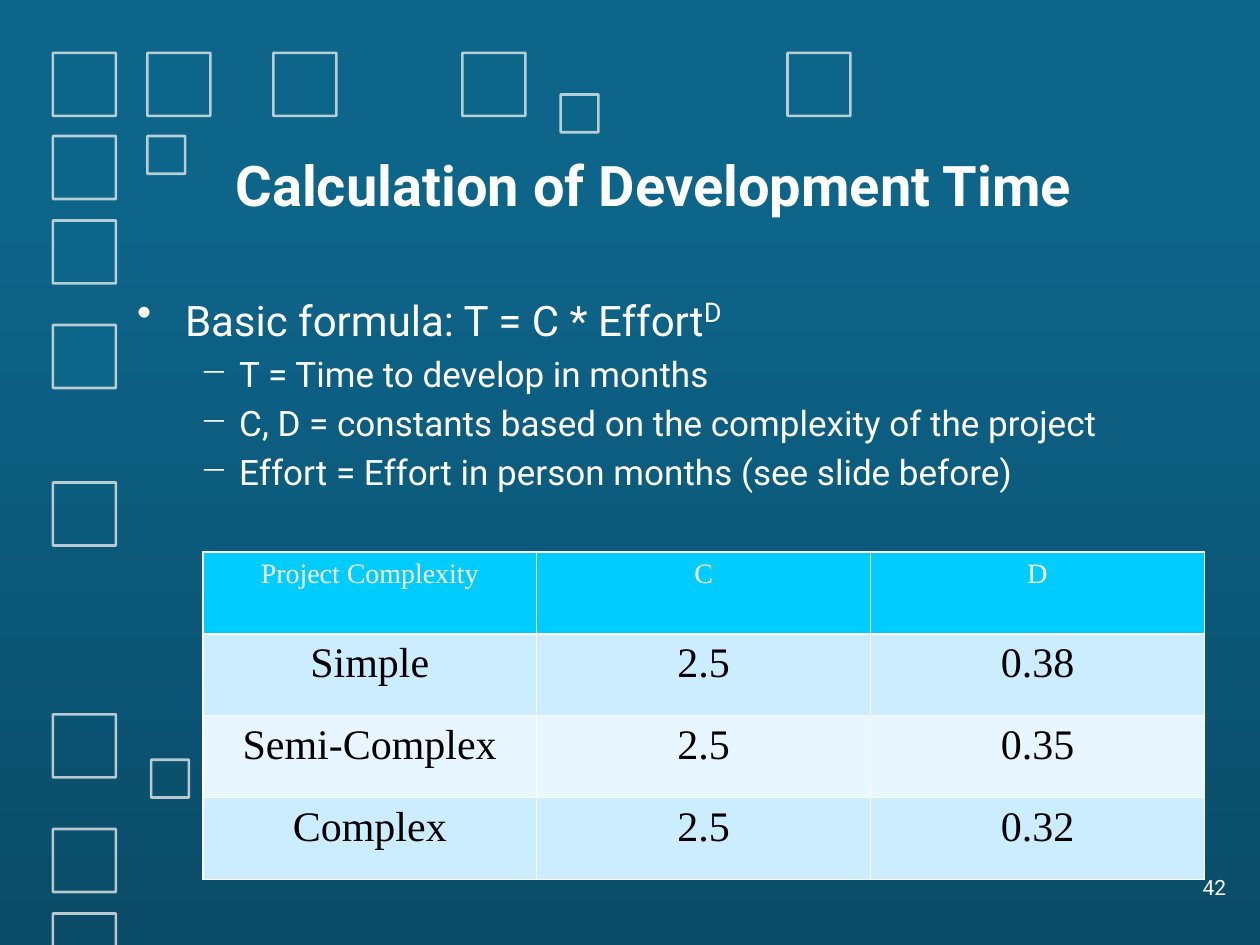
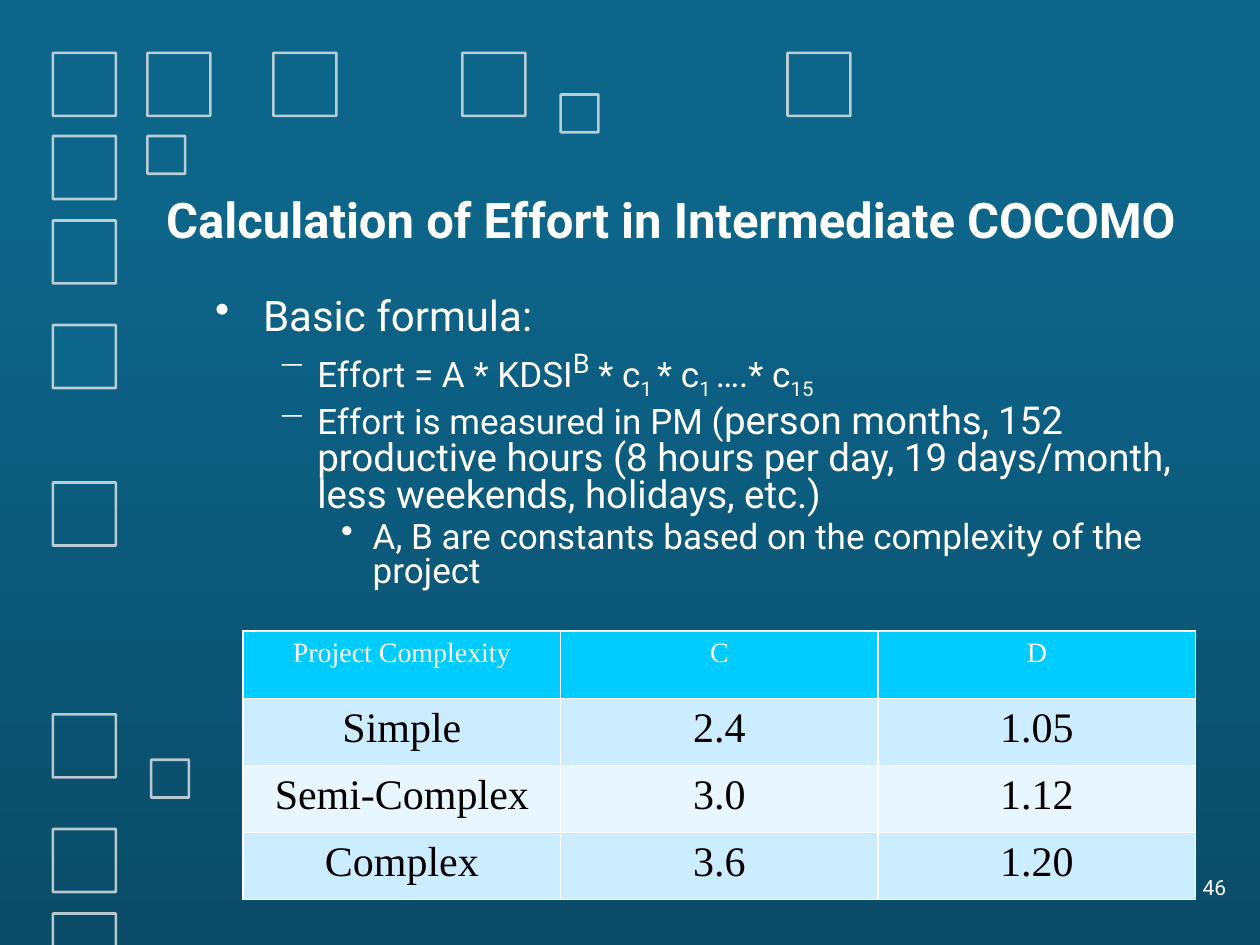
from lxml import etree
from pptx import Presentation
from pptx.dml.color import RGBColor
from pptx.enum import shapes, text
from pptx.oxml.ns import qn
from pptx.util import Inches, Pt

WHITE = RGBColor(0xFF, 0xFF, 0xFF)
BLACK = RGBColor(0, 0, 0)
TEAL = RGBColor(0x0D, 0x65, 0x8A)
DEEP_TEAL = RGBColor(0x0A, 0x4C, 0x68)
OUTLINE = RGBColor(0xF2, 0xF2, 0xF2)
CYAN = RGBColor(0x00, 0xCC, 0xFF)
ROW_BLUE = RGBColor(0xCC, 0xEC, 0xFF)
ROW_PALE = RGBColor(0xE7, 0xF6, 0xFF)

SANS = "Roboto"
SERIF = "Times New Roman"
LARGE, SMALL = 0.5, 0.3
FILLED_SQUARES = (
    [(x, 0.42, LARGE) for x in (0.42, 1.17, 2.17, 3.67, 6.25)]
    + [(0.42, y, LARGE) for y in (1.08, 1.75, 2.58)]
    + [(1.17, 1.08, SMALL), (4.45, 0.75, SMALL)]
)
OPEN_SQUARES = [(0.42, y, LARGE) for y in (3.83, 5.67, 6.58, 7.25)] + [(1.2, 6.03, SMALL)]
# Per level: left margin, hanging indent, space before in percent, bullet
LEVELS = [(0.38, 0.38, 50, "•"), (0.81, 0.31, 20, "−"), (1.25, 0.25, 20, "•")]
SUPER, SUB = 30, -25


def add_xml(parent, tag, **attrs):
    """Append an XML child with the given attributes."""
    return etree.SubElement(parent, qn(tag), {k: str(v) for k, v in attrs.items()})


class Deck:
    """Shared style and the slide being built."""

    def __init__(self):
        self.prs = Presentation()
        self.prs.slide_width, self.prs.slide_height = Inches(10), Inches(7.5)
        fill = self.prs.slide_master.background.fill
        fill.gradient()
        fill.gradient_angle = 270
        for stop, position, color in zip(fill.gradient_stops, (0.21, 1), (TEAL, DEEP_TEAL)):
            stop.position, stop.color.rgb = position, color

    def new_slide(self, number):
        """Start a slide with its squares and page number."""
        self.slide = self.prs.slides.add_slide(self.prs.slide_layouts[6])
        for square in FILLED_SQUARES:
            self.square(*square, filled=True)
        for square in OPEN_SQUARES:
            self.square(*square, filled=False)
        tf = self.textbox(7.75, 6.83, 2.08, 0.42, text.MSO_ANCHOR.MIDDLE)
        p = tf.paragraphs[0]
        p.text, p.alignment = str(number), text.PP_ALIGN.RIGHT
        self.style(p, SANS, 12)

    def style(self, p, name, size, color=WHITE, bold=False):
        """Set the font of a paragraph."""
        p.font.name, p.font.size, p.font.bold = name, Pt(size), bold
        p.font.color.rgb = color

    def square(self, x, y, side, filled):
        """Draw one decorative square."""
        sp = self.slide.shapes.add_shape(
            shapes.MSO_SHAPE.RECTANGLE, Inches(x), Inches(y), Inches(side), Inches(side))
        sp.shadow.inherit = False
        if filled:
            sp.fill.solid()
            sp.fill.fore_color.rgb = TEAL
        else:
            sp.fill.background()
        sp.line.color.rgb, sp.line.width = OUTLINE, Pt(1.5)
        add_xml(sp.line.fill._xPr.find(".//" + qn("a:ln") + "//" + qn("a:srgbClr"))
                if sp.line.fill._xPr.tag != qn("a:ln")
                else sp.line.fill._xPr.find(".//" + qn("a:srgbClr")), "a:alpha", val=74000)

    def textbox(self, x, y, w, h, anchor=text.MSO_ANCHOR.TOP):
        """Add a wrapping text box and return its frame."""
        tf = self.slide.shapes.add_textbox(Inches(x), Inches(y), Inches(w), Inches(h)).text_frame
        tf.word_wrap, tf.vertical_anchor = True, anchor
        return tf

    def title(self, words, x, y, w, h, size):
        """Add the slide title."""
        p = self.textbox(x, y, w, h, text.MSO_ANCHOR.BOTTOM).paragraphs[0]
        p.text = words
        self.style(p, SANS, size, bold=True)

    def bullets(self, items, x, y, w, h, line_spacing=None):
        """Add bullets given as (level, size, runs), a run being (text, size, baseline)."""
        tf = self.textbox(x, y, w, h)
        for i, (level, size, runs) in enumerate(items):
            p = tf.add_paragraph() if i else tf.paragraphs[0]
            p.level, p.line_spacing = level, line_spacing
            margin, hanging, before, mark = LEVELS[level]
            pPr = p._p.get_or_add_pPr()
            pPr.set("marL", str(Inches(margin)))
            pPr.set("indent", str(-Inches(hanging)))
            add_xml(add_xml(pPr, "a:spcBef"), "a:spcPct", val=before * 1000)
            add_xml(add_xml(pPr, "a:buClr"), "a:srgbClr", val=WHITE)
            add_xml(pPr, "a:buChar", char=mark)
            self.style(p, SANS, size)
            for words, run_size, baseline in runs:
                r = p.add_run()
                r.text = words
                if run_size != size:
                    r.font.size = Pt(run_size)
                if baseline:
                    r._r.get_or_add_rPr().set("baseline", str(baseline * 1000))

    def cell(self, cell, words, size, color, fill):
        """Fill one table cell and draw its borders."""
        p = cell.text_frame.paragraphs[0]
        p.text, p.alignment = words, text.PP_ALIGN.CENTER
        self.style(p, SERIF, size, color)
        tcPr = cell._tc.get_or_add_tcPr()
        for side in "LRTB":
            ln = add_xml(tcPr, f"a:ln{side}", w=Pt(1))
            add_xml(add_xml(ln, "a:solidFill"), "a:srgbClr", val=WHITE)
        cell.fill.solid()
        cell.fill.fore_color.rgb = fill

    def complexity_table(self, constants, x, y, w, h):
        """Add the table of constants for each project complexity."""
        names = ("Simple", "Semi-Complex", "Complex")
        rows = [("Project Complexity", "C", "D")]
        rows += [(name, *pair) for name, pair in zip(names, constants)]
        table = self.slide.shapes.add_table(
            len(rows), 3, Inches(x), Inches(y), Inches(w), Inches(h)).table
        for i, row in enumerate(rows):
            look = (24, BLACK, ROW_BLUE if i % 2 else ROW_PALE) if i else (16, WHITE, CYAN)
            for j, words in enumerate(row):
                self.cell(table.cell(i, j), words, *look)


def development_time(deck):
    """Build the development time slide."""
    deck.new_slide(42)
    deck.title("Calculation of Development Time", 1.77, 1.15, 7.25, 0.63, 32)
    deck.bullets([
        (0, 24, [("Basic formula: T = C * Effort", 24, 0), ("D", 26.7, SUPER)]),
        (1, 20, [("T = Time to develop in months", 20, 0)]),
        (1, 20, [("C, D = constants based on the complexity of the project", 20, 0)]),
        (1, 20, [("Effort = Effort in person months (see slide before)", 20, 0)]),
    ], 0.99, 2.25, 8.82, 1.73)
    deck.complexity_table([("2.5", "0.38"), ("2.5", "0.35"), ("2.5", "0.32")],
                          1.61, 4.38, 7.95, 2.6)


def intermediate_effort(deck):
    """Build the intermediate effort slide."""
    deck.new_slide(46)
    deck.title("Calculation of Effort in Intermediate COCOMO", 1.22, 1.15, 8.59, 0.87, 28)
    deck.bullets([
        (0, 24, [("Basic formula:", 24, 0)]),
        (1, 20, [("Effort = A * KDSI", 20, 0), ("B", 26.7, SUPER), (" * c", 20, 0),
                 ("1 ", 20, SUB), ("* c", 20, 0), ("1 ", 20, SUB),
                 ("….* c", 20, 0), ("15", 20, SUB)]),
        (1, 20, [("Effort is measured in PM (", 20, 0), ("person months,", 22, 0), (" ", 20, 0),
                 ("152 productive hours (8 hours per day, 19 days/month, "
                  "less weekends, holidays, etc.)", 22, 0)]),
        (2, 20, [("A, B are constants based on the complexity of the project", 20, 0)]),
    ], 1.61, 2.33, 8.19, 2.36, line_spacing=0.8)
    deck.complexity_table([("2.4", "1.05"), ("3.0", "1.12"), ("3.6", "1.20")],
                          1.93, 5.01, 7.56, 2.13)


def main():
    """Build and save both slides."""
    deck = Deck()
    development_time(deck)
    intermediate_effort(deck)
    deck.prs.save("out.pptx")


if __name__ == "__main__":
    main()
